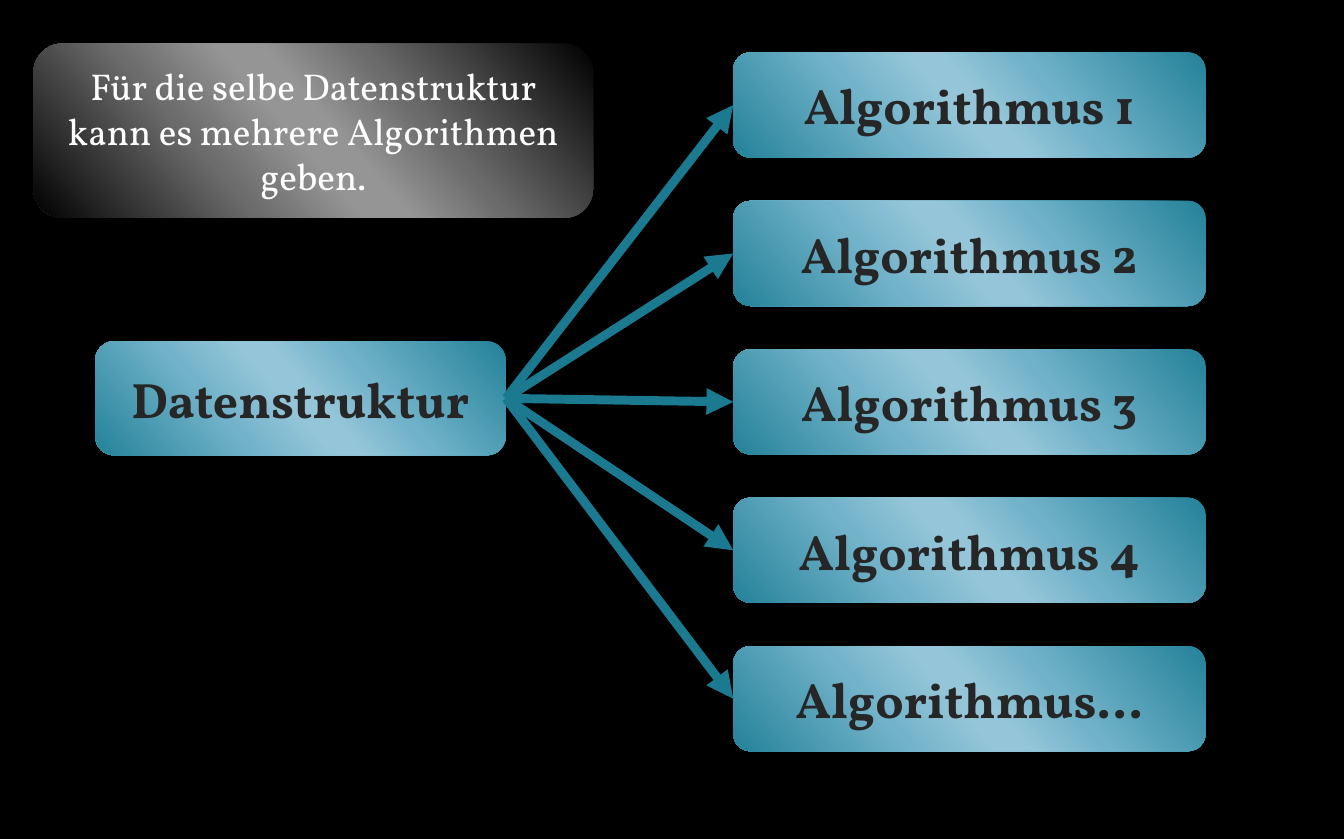
from dataclasses import dataclass

from lxml.etree import SubElement
from pptx import Presentation
from pptx.dml.color import RGBColor
from pptx.enum.shapes import MSO_CONNECTOR, MSO_SHAPE
from pptx.enum.text import MSO_ANCHOR, PP_ALIGN
from pptx.oxml.ns import qn
from pptx.shapes.autoshape import Shape
from pptx.slide import Slide
from pptx.util import Cm, Pt

Gradient = tuple[tuple[int, str], ...]


@dataclass(frozen=True)
class Theme:
    font: str = "Vollkorn"
    background: str = "000000"
    dark_text: str = "262626"
    light_text: str = "FFFFFF"
    arrow: str = "1B7990"
    label_size: float = 32
    note_size: float = 24
    arrow_width: float = 5.75
    gradient_angle: float = 221
    teal: Gradient = ((0, "248299"), (33, "70B2C9"), (47, "94C5D8"),
                      (53, "94C5D8"), (68, "72B3CA"), (100, "248299"))
    grey: Gradient = ((0, "000000"), (33, "6B6B6B"), (47, "959595"),
                      (53, "959595"), (68, "6C6C6C"), (100, "000000"))


THEME = Theme()


@dataclass(frozen=True)
class Box:
    text: str
    left: float
    top: float
    width: float
    height: float
    gradient: Gradient = THEME.teal
    color: str = THEME.dark_text
    size: float = THEME.label_size
    bold: bool = True


DATA_STRUCTURE = Box("Datenstruktur", 2.16, 7.75, 9.32, 2.59)
NOTE = Box("Für die selbe Datenstruktur kann es mehrere Algorithmen geben.",
           0.76, 0.99, 12.7, 3.96, THEME.grey, THEME.light_text,
           THEME.note_size, False)
ALGORITHM_TOP = 1.19
ALGORITHM_PITCH = 3.37
ALGORITHMS = [
    Box(f"Algorithmus{suffix}", 16.64, ALGORITHM_TOP + row * ALGORITHM_PITCH,
        10.72, 2.39)
    for row, suffix in enumerate((" 1", " 2", " 3", " 4", "..."))
]


def fill_gradient(shape: Shape, gradient: Gradient) -> None:
    shape.fill.gradient()
    shape.fill.gradient_angle = THEME.gradient_angle
    stops = shape._element.spPr.find(qn("a:gradFill")).find(qn("a:gsLst"))
    for stop in list(stops):
        stops.remove(stop)
    for position, color in gradient:
        stop = SubElement(stops, qn("a:gs"), pos=str(position * 1000))
        SubElement(stop, qn("a:srgbClr"), val=color)


def draw_box(slide: Slide, box: Box) -> Shape:
    shape = slide.shapes.add_shape(
        MSO_SHAPE.ROUNDED_RECTANGLE,
        Cm(box.left), Cm(box.top), Cm(box.width), Cm(box.height))
    shape.shadow.inherit = False
    shape.line.fill.background()
    fill_gradient(shape, box.gradient)
    frame = shape.text_frame
    frame.word_wrap = True
    frame.vertical_anchor = MSO_ANCHOR.MIDDLE
    frame.text = box.text
    paragraph = frame.paragraphs[0]
    paragraph.alignment = PP_ALIGN.CENTER
    paragraph.font.name = THEME.font
    paragraph.font.size = Pt(box.size)
    paragraph.font.bold = box.bold
    paragraph.font.color.rgb = RGBColor.from_string(box.color)
    return shape


def draw_arrow(slide: Slide, source: Shape, target: Shape) -> None:
    arrow = slide.shapes.add_connector(MSO_CONNECTOR.STRAIGHT, 0, 0, 0, 0)
    arrow.begin_connect(target, 1)
    arrow.end_connect(source, 3)
    arrow.line.width = Pt(THEME.arrow_width)
    arrow.line.color.rgb = RGBColor.from_string(THEME.arrow)
    SubElement(arrow.line._get_or_add_ln(), qn("a:headEnd"), type="triangle")
    SubElement(arrow._element.spPr, qn("a:effectLst"))


def main() -> None:
    presentation = Presentation()
    presentation.slide_width = Cm(30.5)
    presentation.slide_height = Cm(19.05)
    slide = presentation.slides.add_slide(presentation.slide_layouts[6])
    slide.background.fill.solid()
    slide.background.fill.fore_color.rgb = RGBColor.from_string(THEME.background)

    data_structure = draw_box(slide, DATA_STRUCTURE)
    for algorithm in ALGORITHMS:
        draw_arrow(slide, data_structure, draw_box(slide, algorithm))
    draw_box(slide, NOTE)
    presentation.save("out.pptx")


if __name__ == "__main__":
    main()
